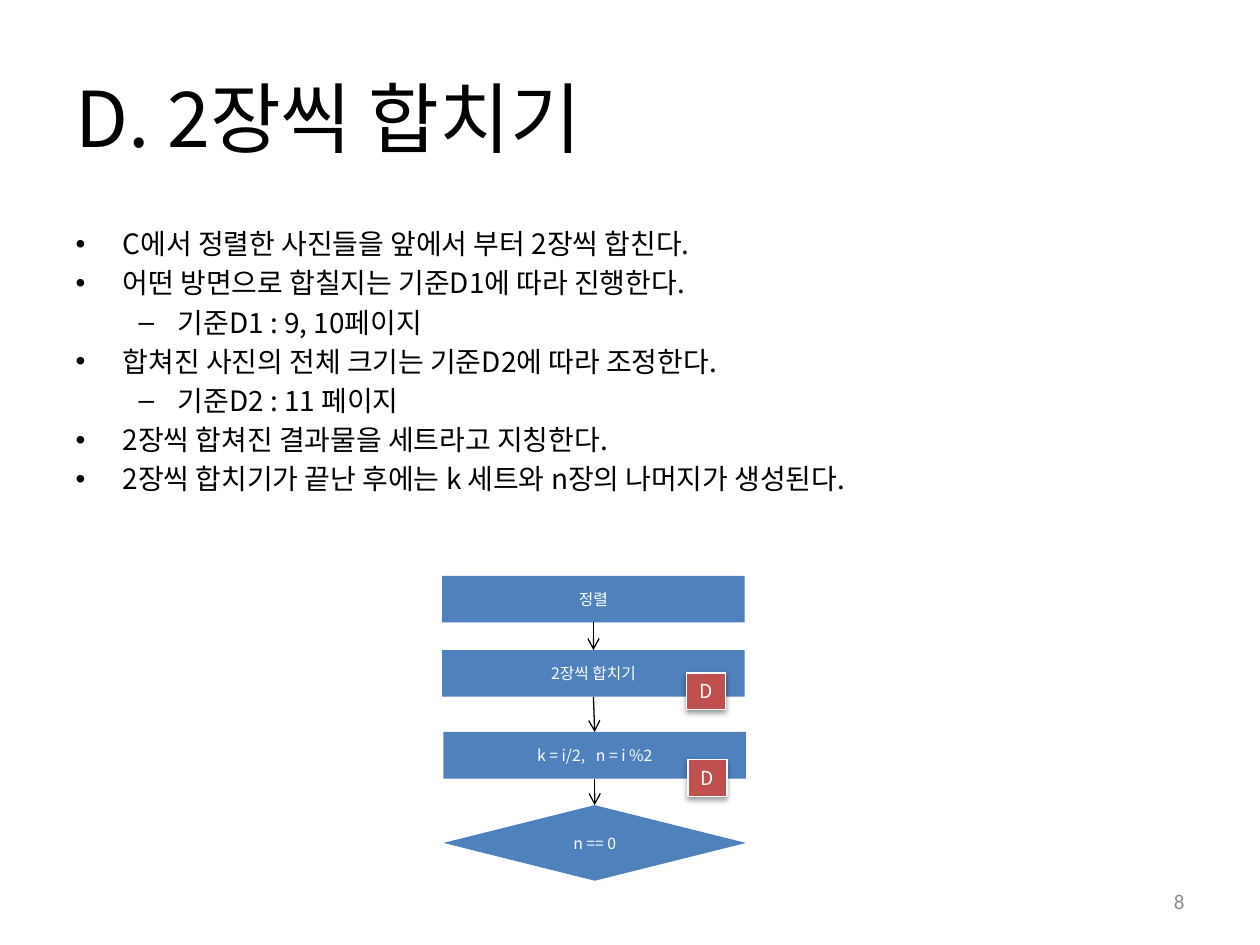
import pptx
import pptx.util
import pptx.dml.color
import pptx.enum.shapes
import pptx.enum.text
import pptx.oxml
import pptx.oxml.ns
from lxml import etree

Inches = pptx.util.Inches
Align = pptx.enum.text.PP_ALIGN
Anchor = pptx.enum.text.MSO_ANCHOR
Shape = pptx.enum.shapes.MSO_SHAPE
qn = pptx.oxml.ns.qn

# Content
FONT = "Noto Sans CJK KR"
COLORS = {"text": "000000", "step": "4F81BD", "badge": "C0504D",
          "light": "FFFFFF", "number": "8C8C8C"}
TITLE = "D. 2장씩 합치기"
BULLETS = [  # level, text
    (0, "C에서 정렬한 사진들을 앞에서 부터 2장씩 합친다."),
    (0, "어떤 방면으로 합칠지는 기준D1에 따라 진행한다. "),
    (1, "기준D1 : 9, 10페이지"),
    (0, "합쳐진 사진의 전체 크기는 기준D2에 따라 조정한다."),
    (1, "기준D2 : 11 페이지"),
    (0, "2장씩 합쳐진 결과물을 세트라고 지칭한다."),
    (0, "2장씩 합치기가 끝난 후에는 k 세트와 n장의 나머지가 생성된다."),
]
STEP_WIDTH = 2.4
STEPS = [  # text, shape, left, top, height
    ("정렬", Shape.RECTANGLE, 3.51, 4.57, 0.37),
    ("2장씩 합치기", Shape.RECTANGLE, 3.51, 5.16, 0.37),
    ("k = i/2,   n = i %2", Shape.RECTANGLE, 3.52, 5.81, 0.37),
    ("n == 0", Shape.DIAMOND, 3.52, 6.39, 0.6),
]
BADGES = [("D", 5.45, 5.34), ("D", 5.46, 6.03)]
SHADOW = """<a:effectLst xmlns:a="http://schemas.openxmlformats.org/drawingml/2006/main">
<a:outerShdw blurRad="39370" dist="20320" dir="5400000" rotWithShape="0">
<a:srgbClr val="000000"><a:alpha val="38000"/></a:srgbClr></a:outerShdw></a:effectLst>"""


def rgb(name):
    return pptx.dml.color.RGBColor.from_string(COLORS[name])


def style(para, size, color, align=Align.LEFT, font=FONT):
    para.alignment = align
    para.font.size = pptx.util.Pt(size)
    para.font.color.rgb = rgb(color)
    para.font.name = font
    defaults = para._p.pPr.find(qn("a:defRPr"))
    etree.SubElement(defaults, qn("a:ea")).set("typeface", font)


def place(shape, left, top, width, height):
    shape.left, shape.top = Inches(left), Inches(top)
    shape.width, shape.height = Inches(width), Inches(height)


def add_block(kind, left, top, width, height, fill, text, size, align):
    block = page.shapes.add_shape(kind, Inches(left), Inches(top),
                                  Inches(width), Inches(height))
    block.shadow.inherit = False
    block.fill.solid()
    block.fill.fore_color.rgb = rgb(fill)
    block.line.fill.background()
    block.text_frame.text = text
    style(block.text_frame.paragraphs[0], size, "light", align)
    return block


def add_arrow(start, end):
    arrow = page.shapes.add_connector(pptx.enum.shapes.MSO_CONNECTOR.STRAIGHT,
                                      *map(Inches, start + end))
    arrow.line.color.rgb = rgb("text")
    arrow.line.width = pptx.util.Pt(0.75)
    etree.SubElement(arrow.line._get_or_add_ln(), qn("a:tailEnd")).set("type", "arrow")
    etree.SubElement(arrow._element.spPr, qn("a:effectLst"))


deck = pptx.Presentation()
deck.slide_width, deck.slide_height = Inches(10), Inches(7.5)
page = deck.slides.add_slide(deck.slide_layouts[1])

# Title and bullet list
title, body = page.placeholders
place(title, 0.5, 0.3, 9, 1.25)
title.text_frame.text = TITLE
title.text_frame.vertical_anchor = Anchor.MIDDLE
style(title.text_frame.paragraphs[0], 44, "text")

place(body, 0.5, 1.75, 9, 2.69)
body.text_frame.auto_size = pptx.enum.text.MSO_AUTO_SIZE.NONE
body.text_frame.text = "\n".join(text for level, text in BULLETS)
for para, (level, text) in zip(body.text_frame.paragraphs, BULLETS):
    para.level = level
    style(para, 16, "text")

# Page number
number = page.shapes.add_textbox(Inches(7.17), Inches(6.95), Inches(2.33), Inches(0.4))
number.text_frame.word_wrap = True
number.text_frame.vertical_anchor = Anchor.MIDDLE
number.text_frame.text = "8"
style(number.text_frame.paragraphs[0], 12, "number", Align.RIGHT, "Calibri")

# Flow chart steps, joined by arrows
for text, kind, left, top, height in STEPS:
    step = add_block(kind, left, top, STEP_WIDTH, height, "step", text, 9, Align.CENTER)
    step.text_frame.vertical_anchor = Anchor.MIDDLE
for upper, lower in zip(STEPS, STEPS[1:]):
    add_arrow((upper[2] + STEP_WIDTH / 2, upper[3] + upper[4]),
              (lower[2] + STEP_WIDTH / 2, lower[3]))

# Badges on the steps
for text, left, top in BADGES:
    badge = add_block(Shape.RECTANGLE, left, top, 0.31, 0.29, "badge", text, 11, Align.LEFT)
    badge.line.color.rgb = rgb("light")
    badge.line.width = pptx.util.Pt(0.75)
    badge.text_frame.word_wrap = False
    badge.text_frame.auto_size = pptx.enum.text.MSO_AUTO_SIZE.SHAPE_TO_FIT_TEXT
    badge.text_frame.vertical_anchor = Anchor.TOP
    properties = badge._element.spPr
    properties.replace(properties.find(qn("a:effectLst")), pptx.oxml.parse_xml(SHADOW))

deck.save("out.pptx")
